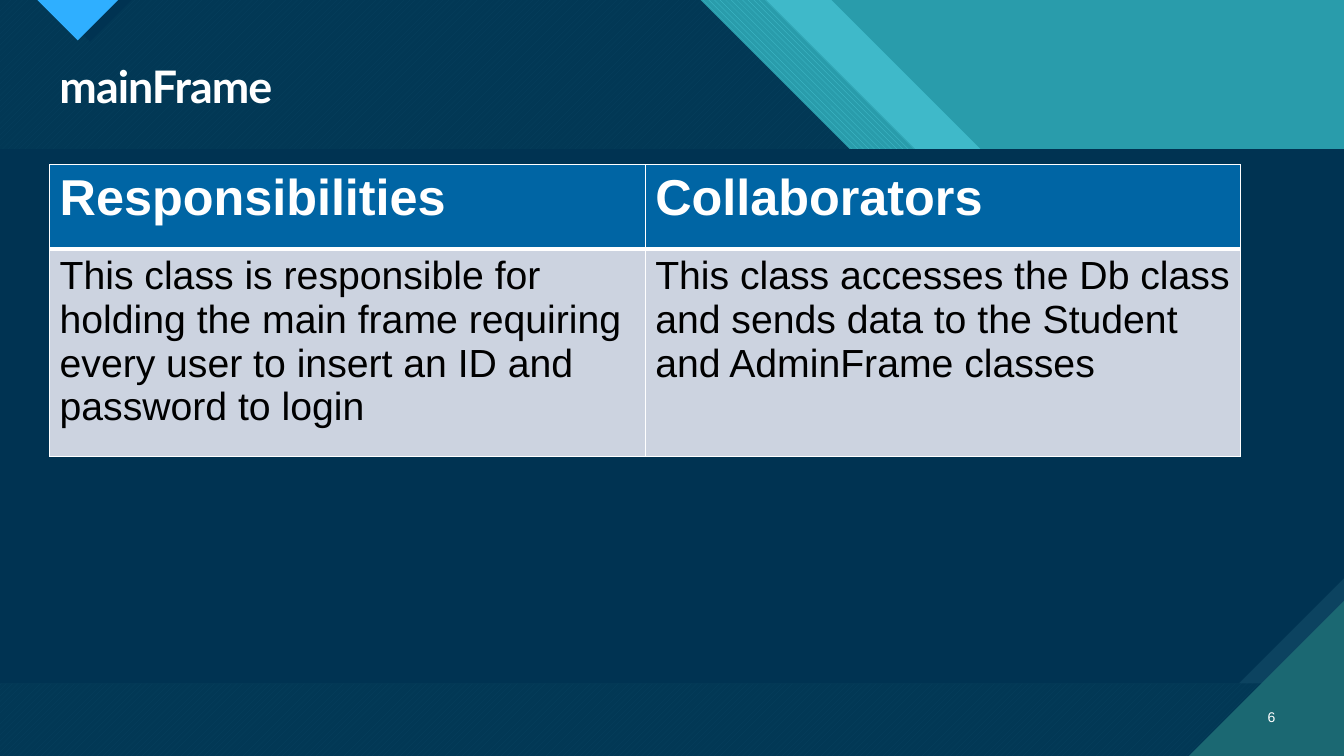
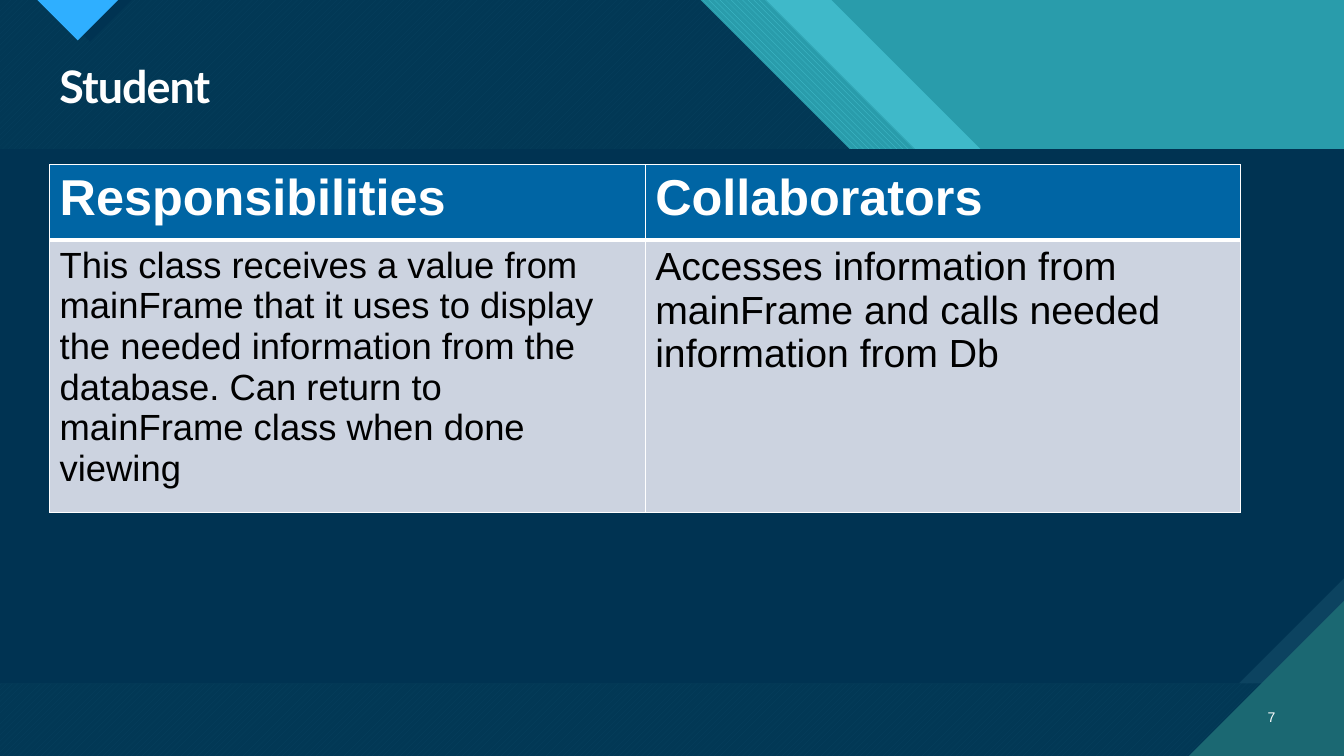
import collections

import lxml.etree
import pptx
import pptx.dml.color
import pptx.enum.dml
import pptx.enum.shapes
import pptx.enum.text
import pptx.oxml.ns
import pptx.util

Cm = pptx.util.Cm
Pt = pptx.util.Pt
Box = collections.namedtuple("Box", "left top width height")

PAGE = Box(0, 0, 33.87, 19.05)
TITLE = Box(1.25, 1.5, 31.14, 1.5)
NUMBER = Box(31.27, 17.55, 1.12, 1.02)
TABLE_LEFT, TABLE_TOP, TABLE_WIDTH = 1.25, 4.15, 30.02

NAVY, STEEL, WHITE, BLACK = "003352", "0C4360", "FFFFFF", "000000"
TEAL, AQUA, DEEP_TEAL, SKY = "299CAB", "47C3D3", "1B6872", "2FAFFF"
LIGHT_STRIPE, HEADER, BODY = "3FB9C9", "0065A4", "CCD3E0"
HEADINGS = ("Responsibilities", "Collaborators")

CLASSES = [
    ("mainFrame", "6", (2.13, 5.23), [
        ("This class is responsible for holding the main frame requiring "
         "every user to insert an ID and password to login", 28),
        ("This class accesses the Db class and sends data to the Student "
         "and AdminFrame classes", 28)]),
    ("Student", "7", (1.9, 6.6), [
        ("This class receives a value from mainFrame that it uses to display "
         "the needed information from the database. Can return to mainFrame "
         "class when done viewing", 26),
        ("Accesses information from mainFrame and calls needed information "
         "from Db", 28)]),
]


def colour(code):
    """Turn a hex string into a colour."""
    return pptx.dml.color.RGBColor.from_string(code)


def lengths(box):
    """Turn a box in centimetres into lengths."""
    return [Cm(value) for value in box]


def add_child(parent, tag, **attributes):
    """Append a drawing element to its parent."""
    return lxml.etree.SubElement(parent, pptx.oxml.ns.qn(tag), attributes)


def paint(fill, code, opacity=100):
    """Fill with one colour, at an opacity in percent."""
    fill.solid()
    fill.fore_color.rgb = colour(code)
    if opacity < 100:
        rgb = fill._xPr.find(".//" + pptx.oxml.ns.qn("a:srgbClr"))
        add_child(rgb, "a:alpha", val=str(opacity * 1000))


def hatch(fill, pattern, front, back):
    """Fill with a two-colour pattern."""
    fill.patterned()
    fill.pattern = pattern
    fill.fore_color.rgb = colour(front)
    fill.back_color.rgb = colour(back)


def outline(slide, box, points):
    """Draw a closed, unlined polygon inside a box and return its fill."""
    corners = [(Cm(box.left + x), Cm(box.top + y)) for x, y in points]
    builder = slide.shapes.build_freeform(*corners[0], scale=1.0)
    builder.add_line_segments(corners[1:], close=True)
    polygon = builder.convert_to_shape()
    polygon.shadow.inherit = False
    polygon.line.fill.background()
    return polygon.fill


def panel(slide, box, code):
    """Draw a plain rectangle."""
    rectangle = slide.shapes.add_shape(
        pptx.enum.shapes.MSO_SHAPE.RECTANGLE, *lengths(box))
    rectangle.shadow.inherit = False
    rectangle.line.fill.background()
    paint(rectangle.fill, code)


def stepped(box, start, knee=7.55, ledge=3.2):
    """Give the corners of a sheet whose right edge steps down at 45 degrees."""
    ledge_end = start + knee + ledge
    return [(0, 0), (start, 0), (start + knee, knee), (ledge_end, knee),
            (box.width, knee + box.width - ledge_end),
            (box.width, box.height), (0, box.height)]


def draw_backdrop(slide, box):
    """Draw the diagonal sheets, the middle band and the corners."""
    patterns = pptx.enum.dml.MSO_PATTERN
    edge, stripe = 17.65, 1.65
    band = Box(box.left, box.top + 3.76, box.width, 13.46)
    snip, corner = 2.65, 3.91

    panel(slide, box, TEAL)
    paint(outline(slide, box, stepped(box, edge + 2 * stripe)), LIGHT_STRIPE)
    hatch(outline(slide, box, stepped(box, edge + stripe)),
          patterns.WIDE_DOWNWARD_DIAGONAL, AQUA, TEAL)
    hatch(outline(slide, box, stepped(box, edge)),
          patterns.WIDE_UPWARD_DIAGONAL, AQUA, DEEP_TEAL)
    paint(outline(slide, box, stepped(box, edge)), NAVY, 90)

    for left, half, code in ((1.22, 1.05, NAVY), (0.94, 1.02, SKY)):
        paint(outline(slide, box, [(left, 0), (left + half, half),
                                   (left + 2 * half, 0)]), code)

    panel(slide, band, STEEL)
    paint(outline(slide, band, [
        (0, 0), (band.width, 0), (band.width, band.height - snip),
        (band.width - snip, band.height), (0, band.height)]), NAVY)
    paint(outline(slide, box, [
        (box.width - corner, box.height), (box.width, box.height),
        (box.width, box.height - corner)]), DEEP_TEAL)


def write(frame, words, size, font="Arial", code=WHITE, bold=False):
    """Write one run in the first paragraph and return both."""
    frame.word_wrap = True
    paragraph = frame.paragraphs[0]
    run = paragraph.add_run()
    run.text = words
    run.font.name = font
    run.font.size = Pt(size)
    run.font.bold = bold
    run.font.color.rgb = colour(code)
    return paragraph, run


def draw_title(slide, box, words):
    """Write the slide title."""
    frame = slide.shapes.add_textbox(*lengths(box)).text_frame
    paragraph, run = write(frame, words, 32, "Lato", bold=True)
    paragraph.line_spacing = 0.9
    run.font._element.set("spc", "-70")


def draw_number(slide, box, number):
    """Write the slide number."""
    frame = slide.shapes.add_textbox(*lengths(box)).text_frame
    frame.vertical_anchor = pptx.enum.text.MSO_ANCHOR.MIDDLE
    paragraph, _ = write(frame, number, 10)
    paragraph.alignment = pptx.enum.text.PP_ALIGN.RIGHT


def rule_cell(cell, top, bottom):
    """Give a cell white borders of the given top and bottom widths."""
    properties = cell._tc.get_or_add_tcPr()
    sides = (("a:lnL", 1), ("a:lnR", 1), ("a:lnT", top), ("a:lnB", bottom))
    for place, (tag, width) in enumerate(sides):
        border = add_child(properties, tag, w=str(Pt(width)))
        add_child(add_child(border, "a:solidFill"), "a:srgbClr", val=WHITE)
        properties.insert(place, border)


def draw_table(slide, box, row_heights, duties):
    """Draw the table of responsibilities and collaborators."""
    table = slide.shapes.add_table(2, len(HEADINGS), *lengths(box)).table
    for row, height in zip(table.rows, row_heights):
        row.height = Cm(height)
    for index, (heading, (duty, size)) in enumerate(zip(HEADINGS, duties)):
        table.columns[index].width = Cm(box.width / len(HEADINGS))
        head, body = table.cell(0, index), table.cell(1, index)
        write(head.text_frame, heading, 36, bold=True)
        write(body.text_frame, duty, size, code=BLACK)
        paint(head.fill, HEADER)
        paint(body.fill, BODY)
        rule_cell(head, 1, 3)
        rule_cell(body, 3, 1)


def draw_class_slide(deck, name, number, row_heights, duties):
    """Add the slide that describes one class."""
    slide = deck.slides.add_slide(deck.slide_layouts[6])
    paint(slide.background.fill, AQUA)
    draw_backdrop(slide, PAGE)
    draw_number(slide, NUMBER, number)
    draw_title(slide, TITLE, name)
    table_box = Box(TABLE_LEFT, TABLE_TOP, TABLE_WIDTH, sum(row_heights))
    draw_table(slide, table_box, row_heights, duties)


def main():
    """Build and save the deck."""
    deck = pptx.Presentation()
    deck.slide_width, deck.slide_height = Cm(PAGE.width), Cm(PAGE.height)
    for description in CLASSES:
        draw_class_slide(deck, *description)
    deck.save("out.pptx")


if __name__ == "__main__":
    main()
